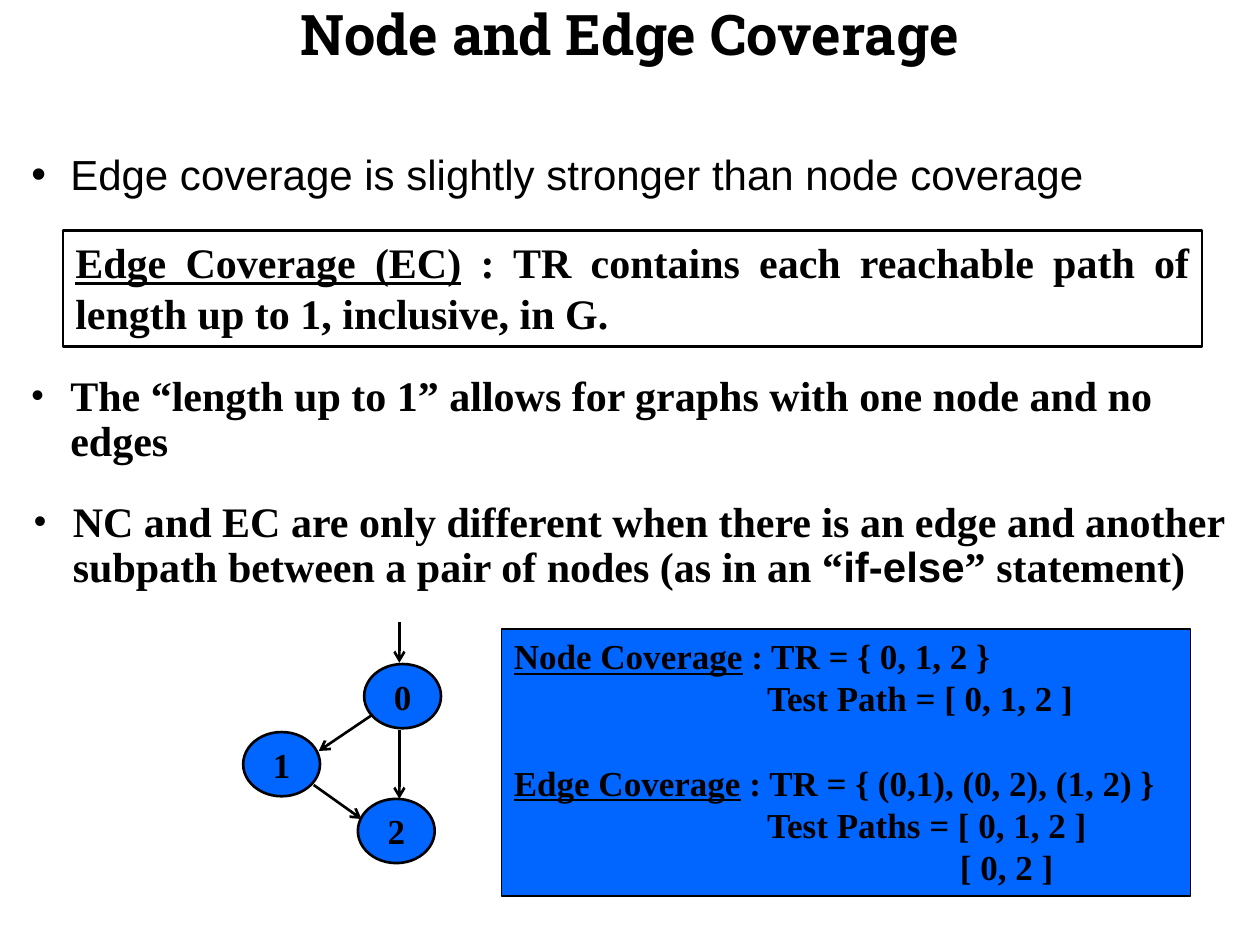
from dataclasses import dataclass

from lxml import etree
from pptx import Presentation, util as u
from pptx.dml import color
from pptx.enum import shapes, text
from pptx.oxml import ns


@dataclass(frozen=True)
class Theme:
    ink: str = "000000"
    accent: str = "0066FF"
    title_font: str = "Roboto Slab"
    sans: str = "Arial"
    serif: str = "Times New Roman"
    title_size: int = 32
    body_size: int = 24
    small_size: int = 20
    outline: float = 1.5
    thin: float = 1


THEME = Theme()
ALIGN = text.PP_ALIGN


def rgb(value):
    return color.RGBColor.from_string(value)


def add_element(parent, tag, **attributes):
    return etree.SubElement(parent, ns.qn(tag), attributes)


def write(frame, runs, size=THEME.body_size, font=THEME.serif, bold=True,
          align=ALIGN.LEFT, line_spacing=None, before_percent=None,
          before_points=None, indent=0, bullet_percent=None):
    paragraph = frame.paragraphs[0]
    if paragraph.runs:
        paragraph = frame.add_paragraph()
    paragraph.alignment = align
    if line_spacing:
        paragraph.line_spacing = line_spacing
    if before_points:
        paragraph.space_before = u.Pt(before_points)
    properties = paragraph._p.get_or_add_pPr()
    properties.set("marL", str(u.Inches(indent)))
    if before_percent:
        spacing = add_element(properties, "a:spcBef")
        add_element(spacing, "a:spcPct", val=str(before_percent * 1000))
    if bullet_percent:
        properties.set("indent", str(-u.Inches(indent)))
        add_element(properties, "a:buSzPct", val=str(bullet_percent * 1000))
        add_element(properties, "a:buFont", typeface=THEME.sans)
        add_element(properties, "a:buChar", char="•")
    for content, changes in runs:
        run = paragraph.add_run()
        run.text = content
        run.font.size = u.Pt(size)
        run.font.bold = bold
        run.font.name = changes.get("font", font)
        run.font.underline = changes.get("underline", False)
        run.font.color.rgb = rgb(THEME.ink)


def add_text_box(slide, box, anchor=text.MSO_ANCHOR.TOP):
    frame = slide.shapes.add_textbox(*map(u.Inches, box)).text_frame
    frame.word_wrap = True
    frame.vertical_anchor = anchor
    return frame


def add_panel(slide, box, kind=shapes.MSO_SHAPE.RECTANGLE, fill=None,
              line_width=THEME.outline, anchor=text.MSO_ANCHOR.TOP):
    shape = slide.shapes.add_shape(kind, *map(u.Inches, box))
    shape.shadow.inherit = False
    if fill:
        shape.fill.solid()
        shape.fill.fore_color.rgb = rgb(fill)
    else:
        shape.fill.background()
    shape.line.color.rgb = rgb(THEME.ink)
    shape.line.width = u.Pt(line_width)
    shape.text_frame.word_wrap = True
    shape.text_frame.vertical_anchor = anchor
    return shape.text_frame


def add_title(slide, box):
    frame = add_text_box(slide, box, text.MSO_ANCHOR.MIDDLE)
    write(frame, [("Node and Edge Coverage", {})], size=THEME.title_size,
          font=THEME.title_font, align=ALIGN.CENTER)


def add_bullet(slide, box, runs, **formatting):
    settings = {"indent": 0.31, "bullet_percent": 85, "line_spacing": 0.9,
                "before_percent": 30, **formatting}
    write(add_text_box(slide, box), runs, **settings)


def add_definition(slide, box):
    write(add_panel(slide, box), [
        ("Edge Coverage (EC)", {"underline": True}),
        (" : TR contains each reachable path of length up to 1, inclusive, in G.", {}),
    ], align=ALIGN.JUSTIFY, before_percent=50)


def add_coverage_summary(slide, box):
    frame = add_panel(slide, box, fill=THEME.accent, line_width=THEME.thin)
    sections = [
        ("Node Coverage", " : TR = { 0, 1, 2 }",
         [("Test Path = [ 0, 1, 2 ]", 2.01)]),
        ("Edge Coverage", " : TR = { (0,1), (0, 2), (1, 2) }",
         [("Test Paths = [ 0, 1, 2 ]", 2.01), ("[ 0, 2 ]", 3.54)]),
    ]
    for index, (name, requirement, test_paths) in enumerate(sections):
        write(frame, [(name, {"underline": True}), (requirement, {})],
              size=THEME.small_size, before_points=24 * index)
        for content, indent in test_paths:
            write(frame, [(content, {})], size=THEME.small_size, indent=indent)


def add_arrow(slide, start, end):
    connector = slide.shapes.add_connector(
        shapes.MSO_CONNECTOR.STRAIGHT, *map(u.Inches, start + end))
    connector.line.color.rgb = rgb(THEME.ink)
    connector.line.width = u.Pt(THEME.outline)
    add_element(connector.line._get_or_add_ln(), "a:tailEnd", type="arrow")
    add_element(connector._element.spPr, "a:effectLst")


def add_graph(slide, box):
    left, top, width, height = box
    node_width, node_height = 0.61, 0.51
    nodes = {
        "0": (left + 0.96, top + 0.33),
        "1": (left, top + 0.87),
        "2": (left + width - node_width - 0.05, top + height - node_height),
    }
    for label, corner in nodes.items():
        frame = add_panel(slide, corner + (node_width, node_height),
                          shapes.MSO_SHAPE.OVAL, THEME.accent,
                          anchor=text.MSO_ANCHOR.MIDDLE)
        frame.margin_left = frame.margin_right = 0
        frame.margin_top = frame.margin_bottom = 0
        write(frame, [(label, {})], size=THEME.small_size, align=ALIGN.CENTER)
    edges = [
        ((1.24, 0), (1.24, 0.32)),
        ((1.03, 0.73), (0.6, 1.02)),
        ((0.56, 1.29), (0.94, 1.56)),
        ((1.24, 0.85), (1.24, 1.4)),
    ]
    for start, end in edges:
        add_arrow(slide, (left + start[0], top + start[1]),
                  (left + end[0], top + end[1]))


def main():
    presentation = Presentation()
    presentation.slide_width = u.Inches(10)
    presentation.slide_height = u.Inches(7.5)
    slide = presentation.slides.add_slide(presentation.slide_layouts[6])
    add_title(slide, (0.5, 0, 9, 0.53))
    add_bullet(slide, (0.15, 1.13, 9.7, 0.52),
               [("Edge coverage is slightly stronger than node coverage", {})],
               font=THEME.sans, bold=False, line_spacing=None,
               before_percent=20, bullet_percent=100)
    add_definition(slide, (0.5, 1.83, 9.04, 0.92))
    add_bullet(slide, (0.15, 2.93, 9.7, 0.83), [
        ("The “length up to 1” allows for graphs with one node and no edges", {})])
    add_bullet(slide, (0.17, 3.93, 9.7, 0.83), [
        ("NC and EC are only different when there is an edge and another "
         "subpath between a pair of nodes (as in an “", {}),
        ("if-else", {"font": THEME.sans}),
        ("” statement)", {}),
    ])
    add_coverage_summary(slide, (3.98, 4.99, 5.47, 2.12))
    add_graph(slide, (1.93, 4.94, 1.57, 1.91))
    presentation.save("out.pptx")


if __name__ == "__main__":
    main()
